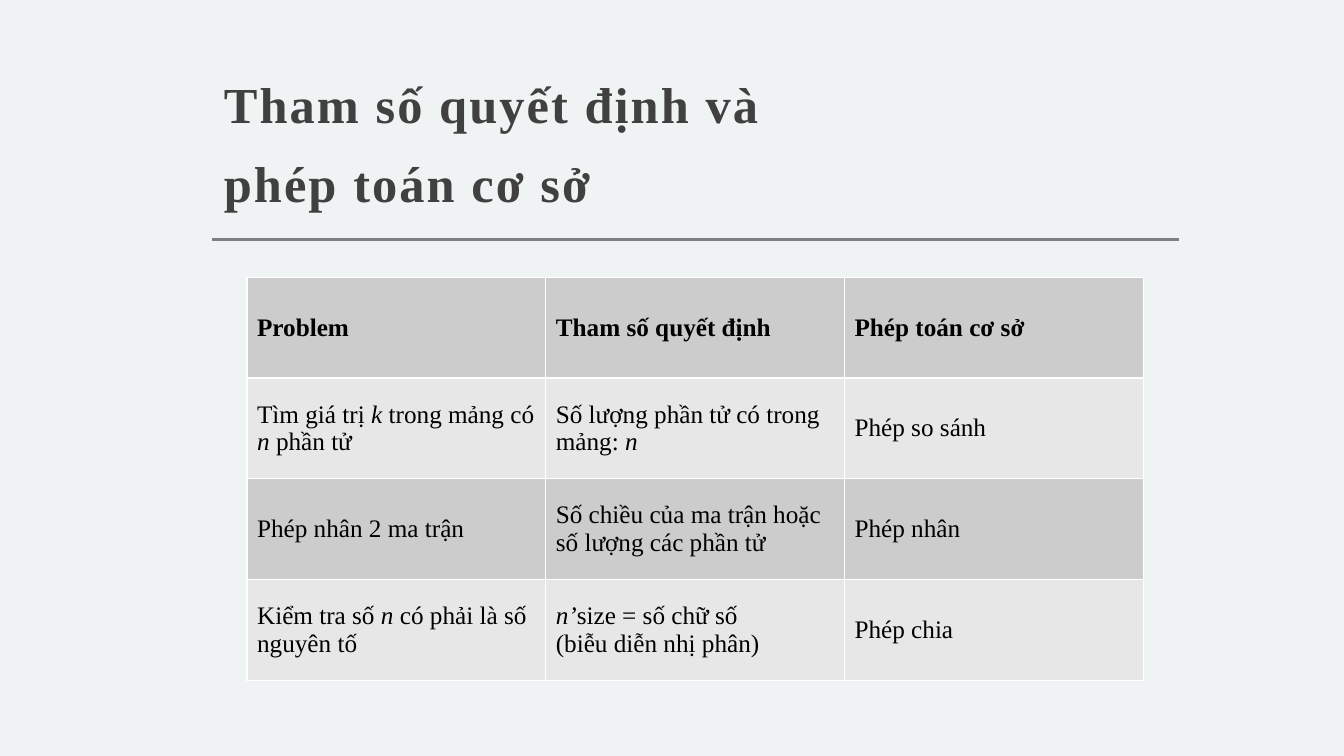
from lxml import etree
from pptx import Presentation
from pptx import util as u
from pptx.dml.color import RGBColor
from pptx.enum import shapes, text
from pptx.oxml.ns import qn

COLORS = {
    "background": "F0F3F3",
    "title": "404040",
    "rule": "808080",
    "ink": "000000",
    "border": "FFFFFF",
    "dark_band": "CCCCCC",
    "light_band": "E7E7E7",
}

TITLE_LINES = ["Tham số quyết định và", "phép toán cơ sở"]

# Asterisks enclose italic words; a line feed starts a new paragraph
TABLE_ROWS = [
    ["Problem", "Tham số quyết định", "Phép toán cơ sở"],
    ["Tìm giá trị *k* trong mảng có *n *phần tử",
     "Số lượng phần tử có trong mảng: *n*", "Phép so sánh"],
    ["Phép nhân 2 ma trận",
     "Số chiều của ma trận hoặc số lượng các phần tử", "Phép nhân"],
    ["Kiểm tra số *n* có phải là số nguyên tố",
     "*n’*size = số chữ số\n(biễu diễn nhị phân)", "Phép chia"],
]


class SlideBuilder:
    font_name = "Times New Roman"

    def __init__(self, deck):
        self.page = deck.slides.add_slide(deck.slide_layouts[6])
        fill = self.page.background.fill
        fill.solid()
        fill.fore_color.rgb = self.color("background")

    @staticmethod
    def color(name):
        return RGBColor.from_string(COLORS[name])

    @staticmethod
    def apply(target, values):
        for name, value in values.items():
            setattr(target, name, value)

    def style(self, span, size, color, **values):
        self.apply(span.font, {"name": self.font_name, "size": u.Pt(size), **values})
        span.font.color.rgb = self.color(color)

    def title(self, lines, left, top, width, height):
        box = self.page.shapes.add_textbox(*map(u.Inches, (left, top, width, height)))
        self.apply(box.text_frame, {
            "word_wrap": True,
            "vertical_anchor": text.MSO_ANCHOR.BOTTOM,
            "margin_left": u.Inches(0.12),
            "margin_right": u.Inches(0.12),
            "margin_top": u.Inches(0.12),
            "margin_bottom": u.Inches(0.1),
        })
        para = box.text_frame.paragraphs[0]
        para.line_spacing = 1.3
        for index, line in enumerate(lines):
            if index:
                para.add_line_break()
            span = para.add_run()
            span.text = line
            self.style(span, 36, "title", bold=True)
            span.font._element.set("spc", "150")

    def rule(self, left, right, y, weight):
        line = self.page.shapes.add_connector(
            shapes.MSO_CONNECTOR.STRAIGHT, *map(u.Inches, (left, y, right, y)))
        line.line.color.rgb = self.color("rule")
        line.line.width = u.Pt(weight)
        etree.SubElement(line._element.spPr, qn("a:effectLst"))

    def table(self, rows, left, top, width, height):
        frame = self.page.shapes.add_table(
            len(rows), len(rows[0]), *map(u.Inches, (left, top, width, height)))
        for row_index, row in enumerate(rows):
            band = "light_band" if row_index % 2 else "dark_band"
            for column_index, content in enumerate(row):
                cell = frame.table.cell(row_index, column_index)
                self.cell(cell, content, band, bold=row_index == 0)

    def cell(self, cell, content, band, bold):
        cell.vertical_anchor = text.MSO_ANCHOR.MIDDLE
        self.borders(cell)
        cell.fill.solid()
        cell.fill.fore_color.rgb = self.color(band)
        for index, line in enumerate(content.split("\n")):
            frame = cell.text_frame
            para = frame.add_paragraph() if index else frame.paragraphs[0]
            for part, words in enumerate(line.split("*")):
                if words:
                    span = para.add_run()
                    span.text = words
                    self.style(span, 18, "ink", bold=bold, italic=part % 2 == 1)

    def borders(self, cell):
        properties = cell._tc.get_or_add_tcPr()
        for side in ("a:lnL", "a:lnR", "a:lnT", "a:lnB"):
            edge = etree.SubElement(properties, qn(side), w=str(u.Pt(1)))
            fill = etree.SubElement(edge, qn("a:solidFill"))
            etree.SubElement(fill, qn("a:srgbClr"), val=COLORS["border"])


def main():
    deck = Presentation()
    deck.slide_width, deck.slide_height = u.Inches(13.33), u.Inches(7.5)
    slide = SlideBuilder(deck)

    # Heading with its rule
    slide.rule(2.1, 11.69, 2.38, weight=2)
    slide.title(TITLE_LINES, 2.1, 0.74, 9.59, 1.47)

    # Problems, deciding parameters and basic operations
    slide.table(TABLE_ROWS, 2.45, 2.75, 8.89, 4)

    deck.save("out.pptx")


if __name__ == "__main__":
    main()
